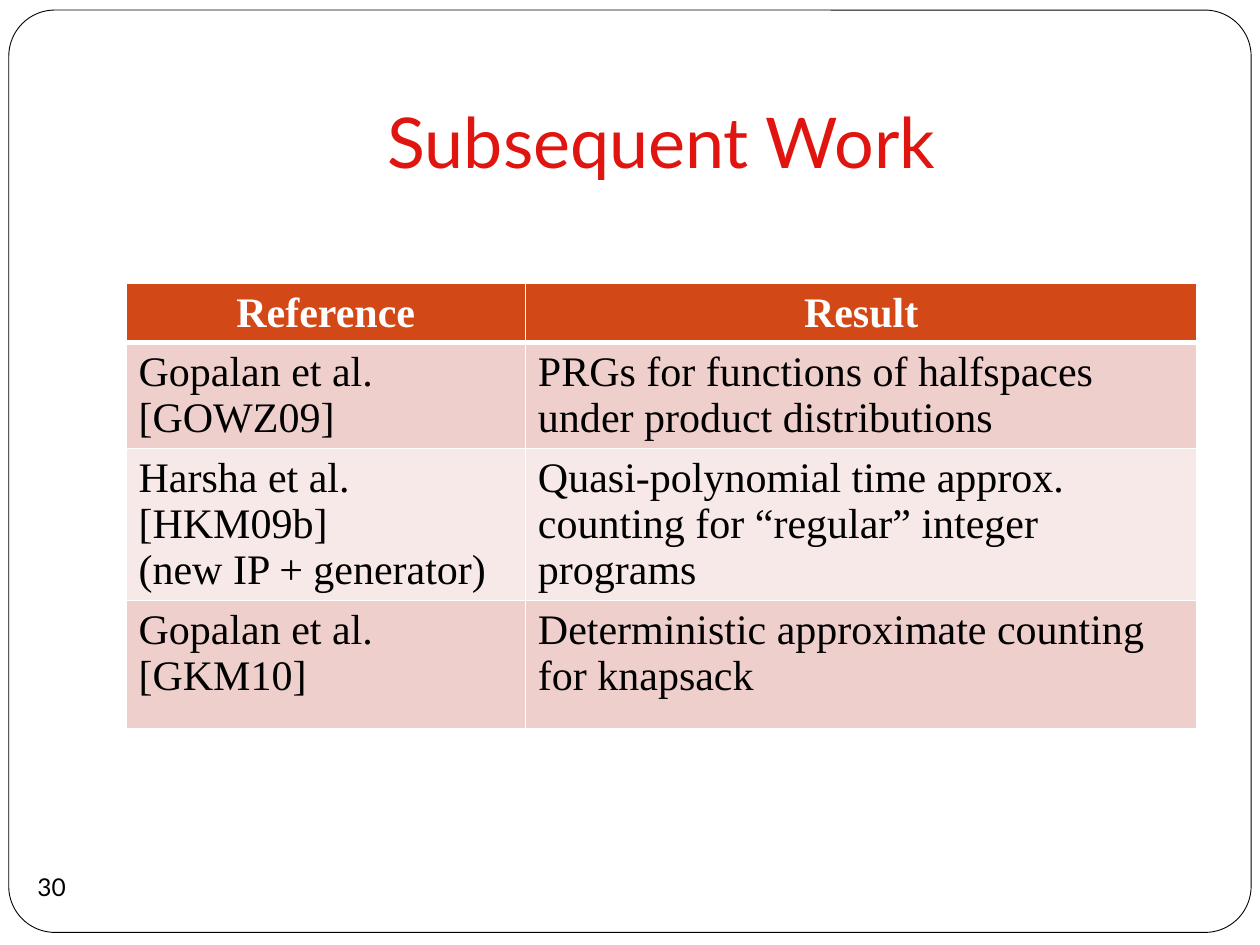
import pptx
import pptx.dml.color
import pptx.enum.shapes
import pptx.enum.text
import pptx.oxml
import pptx.oxml.ns
import pptx.util

Inches = pptx.util.Inches
Pt = pptx.util.Pt
RGBColor = pptx.dml.color.RGBColor
PP_ALIGN = pptx.enum.text.PP_ALIGN
MSO_ANCHOR = pptx.enum.text.MSO_ANCHOR
MSO_SHAPE = pptx.enum.shapes.MSO_SHAPE

WHITE = RGBColor(0xFF, 0xFF, 0xFF)
BLACK = RGBColor(0x00, 0x00, 0x00)
TITLE_RED = RGBColor(0xE1, 0x15, 0x10)
HEADER_ORANGE = RGBColor(0xD3, 0x48, 0x17)
ROW_PINK = RGBColor(0xEF, 0xCF, 0xCC)
ROW_PALE = RGBColor(0xF7, 0xE9, 0xE8)

TITLE_FONT = {"name": "Lato", "size": Pt(40), "bold": False}
NUMBER_FONT = {"name": "Lato", "size": Pt(14)}
HEADER_FONT = {"name": "Times New Roman", "size": Pt(24), "bold": True}
BODY_FONT = {**HEADER_FONT, "bold": False}

COLUMN_WIDTHS = [3.17, 5.33]
ROW_HEIGHTS = [0.46, 0.84, 1.2, 1.02]
ROWS = [
    ["Reference", "Result"],
    ["Gopalan et al. [GOWZ09]",
     "PRGs for functions of halfspaces under product distributions"],
    ["Harsha et al. [HKM09b]\n(new IP + generator)",
     "Quasi-polynomial time approx. counting for “regular” integer programs"],
    ["Gopalan et al.\n[GKM10]",
     "Deterministic approximate counting for knapsack"],
]


def set_attributes(target, values):
    for name, value in values.items():
        setattr(target, name, value)


def format_text(text_frame, font, color, alignment):
    for paragraph in text_frame.paragraphs:
        paragraph.alignment = alignment
        for run in paragraph.runs:
            set_attributes(run.font, font)
            run.font.color.rgb = color


def add_frame(slide, left, top, width, height):
    frame = slide.shapes.add_shape(
        MSO_SHAPE.ROUNDED_RECTANGLE, left, top, width, height)
    frame.adjustments[0] = 0.05
    frame.shadow.inherit = False
    frame.fill.solid()
    frame.fill.fore_color.rgb = WHITE
    frame.line.color.rgb = BLACK
    frame.line.width = Pt(0.5)
    slide.shapes.element.insert(2, frame.element)


def place_title(slide, left, top, width, height):
    title = slide.shapes.title
    set_attributes(title, {"left": left, "top": top, "width": width, "height": height})
    title.text_frame.text = "Subsequent Work"
    set_attributes(title.text_frame, {
        "vertical_anchor": MSO_ANCHOR.BOTTOM,
        "word_wrap": True,
        "margin_bottom": Inches(0.1),
    })
    format_text(title.text_frame, TITLE_FONT, TITLE_RED, PP_ALIGN.CENTER)


def add_page_number(slide, left, top, width, height):
    badge = slide.shapes.add_shape(MSO_SHAPE.OVAL, left, top, width, height)
    badge.shadow.inherit = False
    badge.fill.background()
    badge.line.fill.background()
    badge.text_frame.text = "30"
    set_attributes(badge.text_frame, {
        "vertical_anchor": MSO_ANCHOR.MIDDLE,
        "word_wrap": False,
        "margin_left": 0,
        "margin_top": 0,
        "margin_right": 0,
        "margin_bottom": 0,
    })
    format_text(badge.text_frame, NUMBER_FONT, BLACK, PP_ALIGN.CENTER)


def set_borders(cell, widths):
    properties = cell._tc.get_or_add_tcPr()
    for side, width in widths.items():
        properties.append(pptx.oxml.parse_xml(
            f'<a:{side} {pptx.oxml.ns.nsdecls("a")} w="{Pt(width)}">'
            f'<a:solidFill><a:srgbClr val="{WHITE}"/></a:solidFill></a:{side}>'))


def add_results_table(slide, left, top, width, height):
    table = slide.shapes.add_table(
        len(ROWS), len(COLUMN_WIDTHS), left, top, width, height).table
    for column, column_width in zip(table.columns, COLUMN_WIDTHS):
        column.width = Inches(column_width)
    for row, row_height in zip(table.rows, ROW_HEIGHTS):
        row.height = Inches(row_height)
    for row_index, texts in enumerate(ROWS):
        is_header = row_index == 0
        fill = HEADER_ORANGE if is_header else (ROW_PALE, ROW_PINK)[row_index % 2]
        font = HEADER_FONT if is_header else BODY_FONT
        color = WHITE if is_header else BLACK
        alignment = PP_ALIGN.CENTER if is_header else PP_ALIGN.LEFT
        widths = {"lnL": 1, "lnR": 1,
                  "lnT": 3 if row_index == 1 else 1,
                  "lnB": 3 if is_header else 1}
        for column_index, text in enumerate(texts):
            cell = table.cell(row_index, column_index)
            cell.text = text
            set_borders(cell, widths)
            cell.fill.solid()
            cell.fill.fore_color.rgb = fill
            format_text(cell.text_frame, font, color, alignment)


def main():
    presentation = pptx.Presentation()
    presentation.slide_width = Inches(10)
    presentation.slide_height = Inches(7.5)
    slide = presentation.slides.add_slide(presentation.slide_layouts[5])
    add_frame(slide, Inches(0.07), Inches(0.08), Inches(9.86), Inches(7.32))
    place_title(slide, Inches(1), Inches(0.3), Inches(8.5), Inches(1.25))
    add_page_number(slide, Inches(0.16), Inches(6.79), Inches(0.5), Inches(0.5))
    add_results_table(slide, Inches(1), Inches(2.25),
                      Inches(sum(COLUMN_WIDTHS)), Inches(sum(ROW_HEIGHTS)))
    presentation.save("out.pptx")


if __name__ == "__main__":
    main()
